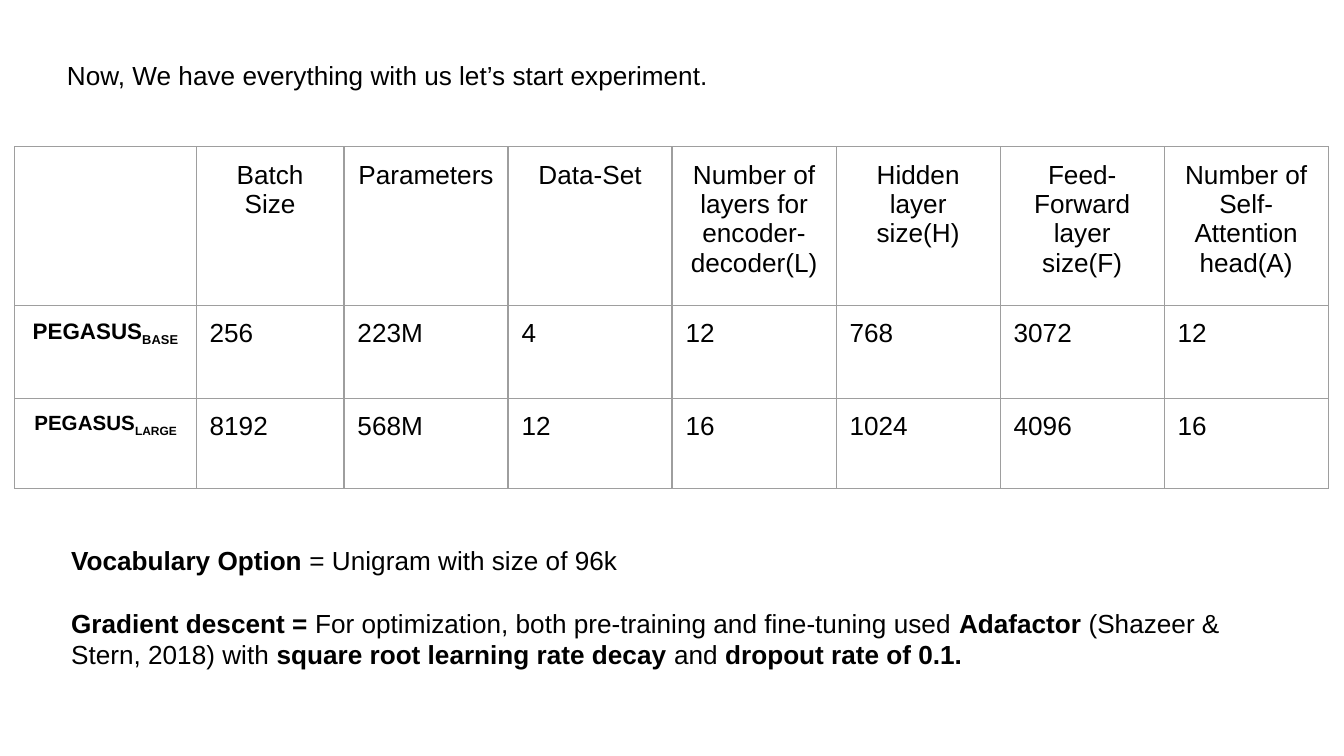
from lxml import etree
from pptx import Presentation
from pptx.dml.color import RGBColor
from pptx.enum import text
from pptx.oxml import ns
from pptx.util import Pt

BLACK = RGBColor(0x00, 0x00, 0x00)
GREY = RGBColor(0x9E, 0x9E, 0x9E)
FONT = "Arial"
SIZE = 14
INSET = Pt(7.2)

# Content: a paragraph is a list of (text, format) runs
BOLD = {"bold": True}
INTRO = [[("Now, We have everything with us let’s start experiment.", {})]]
HEADERS = ["", "Batch Size", "Parameters", "Data-Set",
           "Number of layers for encoder-decoder(L)", "Hidden layer size(H)",
           "Feed-Forward layer size(F)", "Number of Self-Attention head(A)"]
MODELS = [
    ("BASE", 12, ["256", "223M", "4", "12", "768", "3072", "12"]),
    ("LARGE", 11, ["8192", "568M", "12", "16", "1024", "4096", "16"]),
]
DETAILS = [
    [("Vocabulary Option", BOLD), (" = Unigram with size of 96k", {})],
    [("Gradient descent = ", BOLD),
     ("For optimization, both pre-training and fine-tuning used ", {}),
     ("Adafactor", BOLD), (" (Shazeer & Stern, 2018) with ", {}),
     ("square root learning rate decay", BOLD), (" and ", {}),
     ("dropout rate of 0.1.", BOLD)],
]

# Layout in points
INTRO_BOX = (28.8, 24.5, 475, 31.5)
DETAILS_BOX = (31, 284.4, 658, 82)
TABLE_LEFT, TABLE_TOP = 7.92, 78.7
COLS = [97.2, 79.2] + [87.9] * 6
ROWS = [85, 50, 48]


def set_margins(obj):
    for side in ("left", "top", "right", "bottom"):
        setattr(obj, f"margin_{side}", INSET)


def add_runs(p, runs):
    for words, extra in runs:
        r = p.add_run()
        r.text = words
        fmt = {"name": FONT, "size": Pt(SIZE), "bold": False, **extra}
        baseline = fmt.pop("baseline", None)
        for key, value in fmt.items():
            setattr(r.font, key, value)
        r.font.color.rgb = BLACK
        if baseline:
            r._r.get_or_add_rPr().set("baseline", str(baseline))


def add_text(slide, box, paragraphs, gap=0):
    tf = slide.shapes.add_textbox(*map(Pt, box)).text_frame
    tf.word_wrap = True
    set_margins(tf)
    for i, runs in enumerate(paragraphs):
        p = tf.add_paragraph() if i else tf.paragraphs[0]
        p.space_before = Pt(gap if i else 0)
        add_runs(p, runs)


def set_borders(cell):
    tcPr = cell._tc.get_or_add_tcPr()
    for i, side in enumerate(("lnL", "lnR", "lnT", "lnB")):
        ln = etree.Element(ns.qn(f"a:{side}"), w=str(Pt(0.75)))
        fill = etree.SubElement(ln, ns.qn("a:solidFill"))
        etree.SubElement(fill, ns.qn("a:srgbClr"), val=str(GREY))
        tcPr.insert(i, ln)


def model_name(suffix, size):
    fmt = {"size": Pt(size), "bold": True}
    return [("PEGASUS", fmt), (suffix, {**fmt, "baseline": -25000})]


def add_model_table(slide):
    grid = [[[(h, {})] if h else [] for h in HEADERS]]
    for suffix, size, values in MODELS:
        grid.append([model_name(suffix, size)] + [[(v, {})] for v in values])

    frame = slide.shapes.add_table(
        len(ROWS), len(COLS), Pt(TABLE_LEFT), Pt(TABLE_TOP),
        Pt(sum(COLS)), Pt(sum(ROWS)))
    table = frame.table
    table.first_row = table.horz_banding = False
    for col, width in zip(table.columns, COLS):
        col.width = Pt(width)
    for row, height in zip(table.rows, ROWS):
        row.height = Pt(height)

    for i, line in enumerate(grid):
        for j, runs in enumerate(line):
            cell = table.cell(i, j)
            cell.fill.background()
            set_margins(cell)
            set_borders(cell)
            p = cell.text_frame.paragraphs[0]
            centred = i == 0 or j == 0
            p.alignment = text.PP_ALIGN.CENTER if centred else text.PP_ALIGN.LEFT
            add_runs(p, runs)


def main():
    prs = Presentation()
    prs.slide_width, prs.slide_height = Pt(720), Pt(405)
    slide = prs.slides.add_slide(prs.slide_layouts[6])
    add_text(slide, INTRO_BOX, INTRO)
    add_model_table(slide)
    add_text(slide, DETAILS_BOX, DETAILS, gap=17)
    prs.save("out.pptx")


if __name__ == "__main__":
    main()
